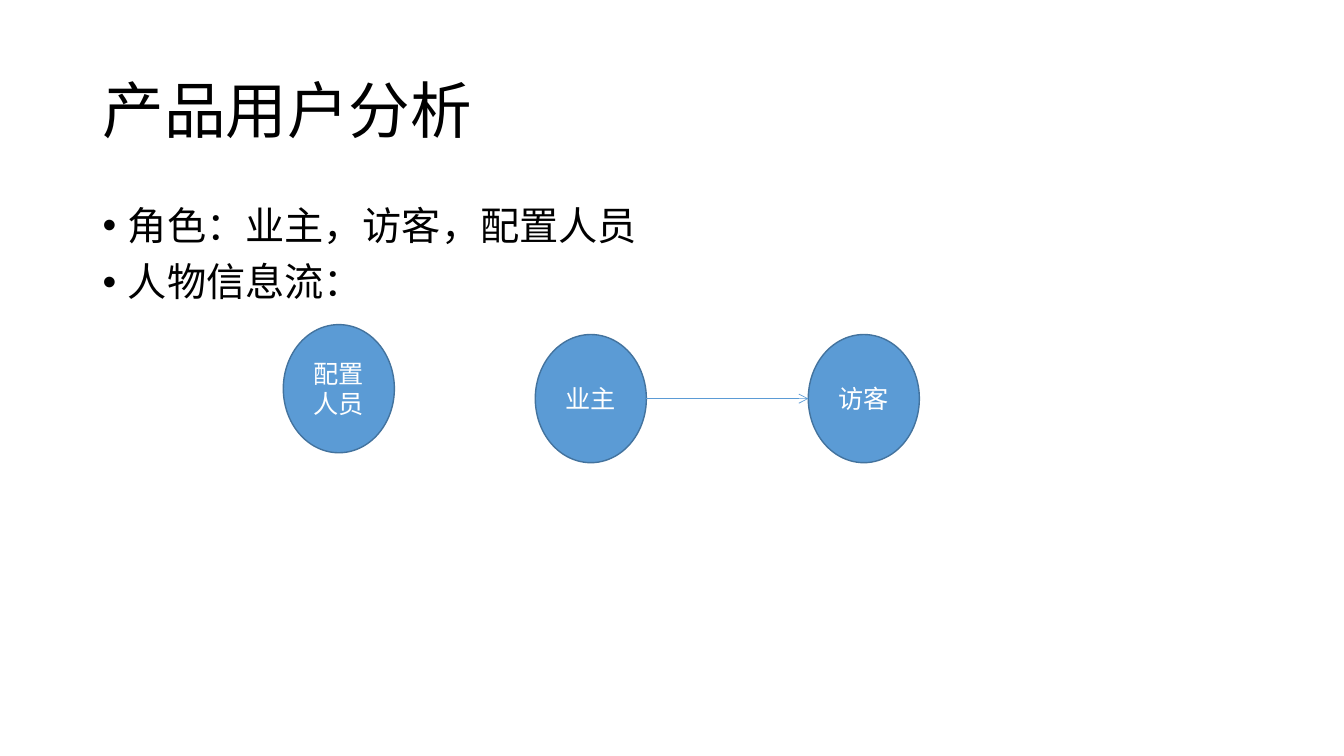
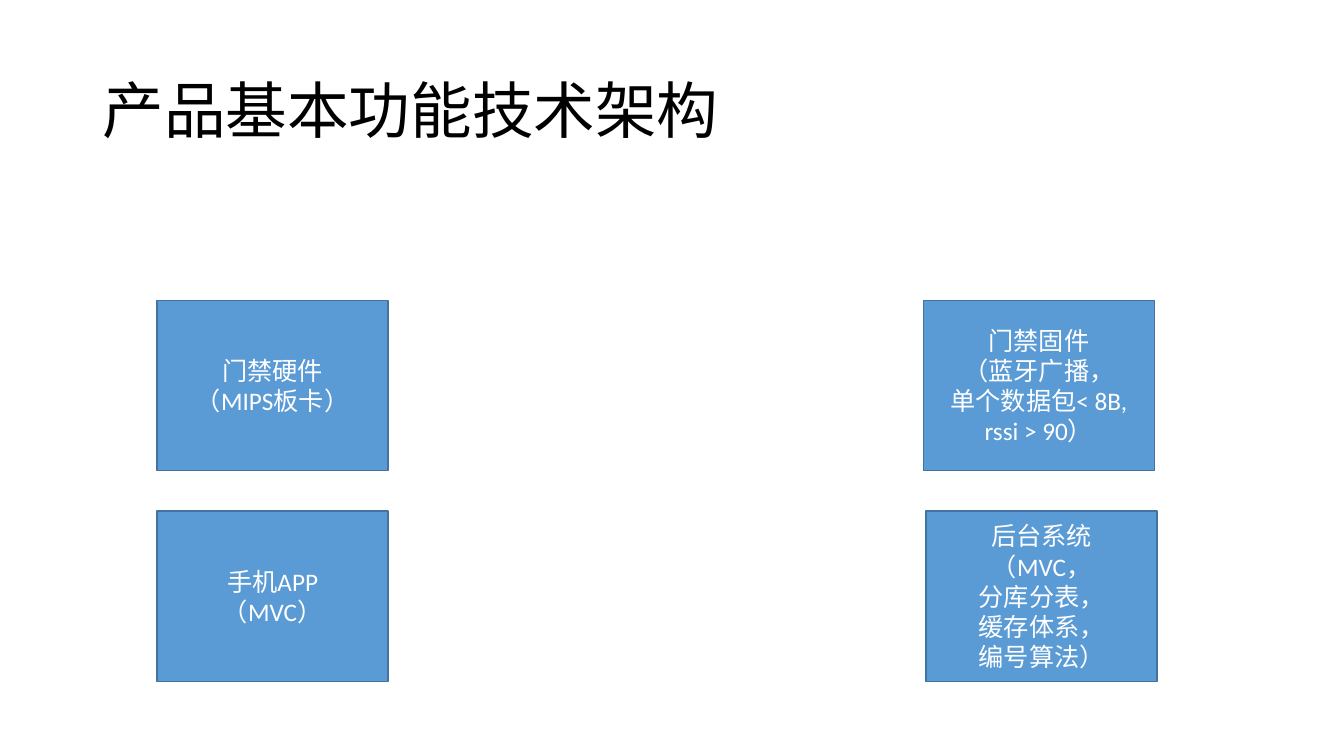
from dataclasses import dataclass

from lxml.etree import SubElement
from pptx import Presentation
from pptx.dml.color import RGBColor
from pptx.enum.shapes import MSO_CONNECTOR as Link, MSO_SHAPE as Kind
from pptx.enum.text import MSO_ANCHOR as Anchor, MSO_AUTO_SIZE as Fit, PP_ALIGN as Align
from pptx.oxml.ns import qn
from pptx.util import Cm, Pt

FONT = "Calibri"
BLACK, WHITE, BLUE, EDGE = "000000", "FFFFFF", "5B9BD5", "43739E"
LEFT, WIDE = 2.33, 29.21


@dataclass(frozen=True)
class Node:
    text: str
    x: float
    y: float
    w: float
    h: float
    kind: Kind

    @property
    def right(self) -> float:
        return self.x + self.w

    @property
    def mid(self) -> float:
        return self.y + self.h / 2


def role(text: str, x: float, y: float) -> Node:
    return Node(text, x, y, 2.8, 3.23, Kind.OVAL)


def part(text: str, x: float, y: float) -> Node:
    return Node(text, x, y, 5.82, 4.29, Kind.RECTANGLE)


def color(value: str) -> RGBColor:
    return RGBColor.from_string(value)


def write(shape, text: str, *, size: float, ink: str = BLACK, align=Align.LEFT,
          anchor=Anchor.MIDDLE, lead: float = 1.0, before: float = 0,
          indent: float = 0) -> None:
    frame = shape.text_frame
    frame.text = text
    frame.word_wrap = True
    frame.auto_size = Fit.NONE
    frame.vertical_anchor = anchor
    for para in frame.paragraphs:
        para.alignment = align
        para.line_spacing = lead
        para.space_before = Pt(before)
        if indent:
            props = para._p.get_or_add_pPr()
            props.set("marL", str(Cm(indent)))
            props.set("indent", str(-Cm(indent)))
            SubElement(props, qn("a:buFont"), typeface="Arial")
            SubElement(props, qn("a:buChar"), char="•")
        for run in para.runs:
            run.font.name = FONT
            run.font.size = Pt(size)
            run.font.color.rgb = color(ink)


def place(shape, x: float, y: float, w: float, h: float) -> None:
    shape.left, shape.top, shape.width, shape.height = map(Cm, (x, y, w, h))


def page(deck, title: str, body: str = ""):
    slide = deck.slides.add_slide(deck.slide_layouts[1 if body else 5])
    head = slide.shapes.title
    place(head, LEFT, 1.01, WIDE, 3.68)
    write(head, title, size=44, lead=0.9)
    if body:
        box = slide.placeholders[1]
        place(box, LEFT, 5.08, WIDE, 12.09)
        write(box, body, size=28, anchor=Anchor.TOP, lead=0.9, before=10, indent=0.64)
    return slide


def draw(slide, node: Node) -> None:
    shape = slide.shapes.add_shape(node.kind, *map(Cm, (node.x, node.y, node.w, node.h)))
    shape.shadow.inherit = False
    shape.fill.solid()
    shape.fill.fore_color.rgb = color(BLUE)
    shape.line.color.rgb = color(EDGE)
    shape.line.width = Pt(1)
    write(shape, node.text, size=18, ink=WHITE, align=Align.CENTER)


def arrow(slide, start: Node, end: Node) -> None:
    line = slide.shapes.add_connector(
        Link.STRAIGHT, Cm(start.right), Cm(start.mid), Cm(end.x), Cm(end.mid))
    line.line.color.rgb = color(BLUE)
    line.line.width = Pt(0.5)
    SubElement(line.line._get_or_add_ln(), qn("a:tailEnd"), type="arrow")
    SubElement(line._element.spPr, qn("a:effectLst"))


def users(deck) -> None:
    slide = page(deck, "产品用户分析", "角色：业主，访客，配置人员\n人物信息流：")
    staff = role("配置\n人员", 7.14, 8.18)
    owner = role("业主", 13.49, 8.43)
    guest = role("访客", 20.37, 8.43)
    for node in (staff, owner, guest):
        draw(slide, node)
    arrow(slide, owner, guest)


def design(deck) -> None:
    slide = page(deck, "产品基本功能技术架构")
    left, top, low = 3.96, 7.57, 12.88
    for node in (
        part("门禁硬件\n（MIPS板卡）", left, top),
        part("门禁固件\n（蓝牙广播，\n单个数据包< 8B,\nrssi > 90）", 23.27, top),
        part("手机APP\n（MVC）", left, low),
        part("后台系统\n（MVC，\n分库分表，\n缓存体系，\n编号算法）", 23.34, low),
    ):
        draw(slide, node)


def main() -> None:
    deck = Presentation()
    deck.slide_width, deck.slide_height = Cm(33.87), Cm(19.05)
    users(deck)
    design(deck)
    deck.save("out.pptx")


if __name__ == "__main__":
    main()
